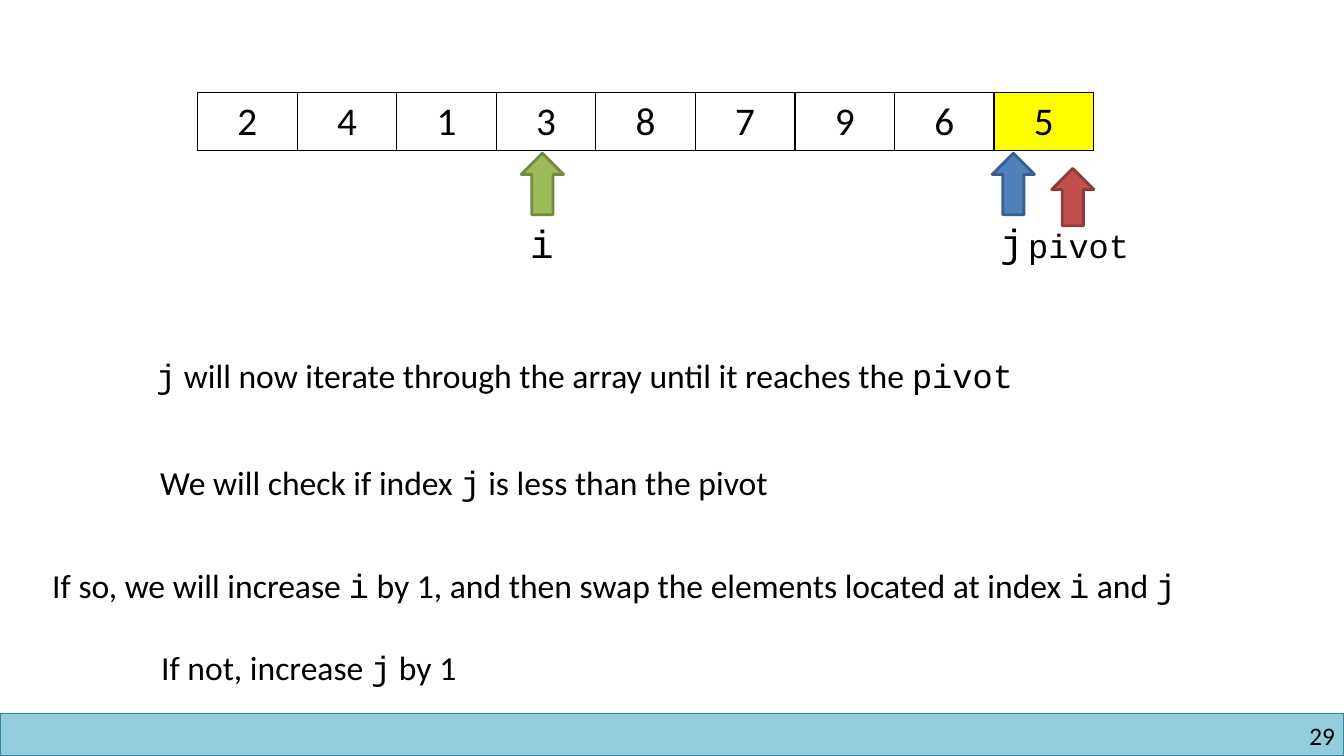
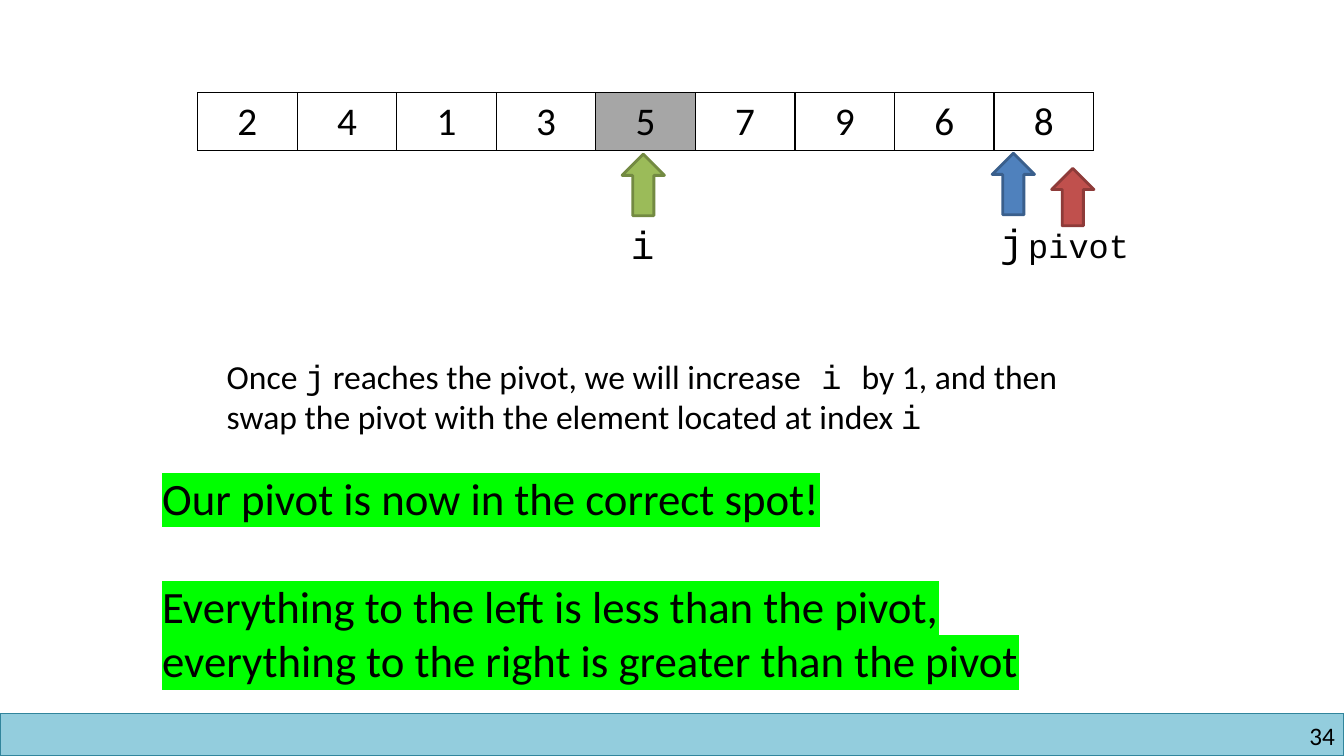
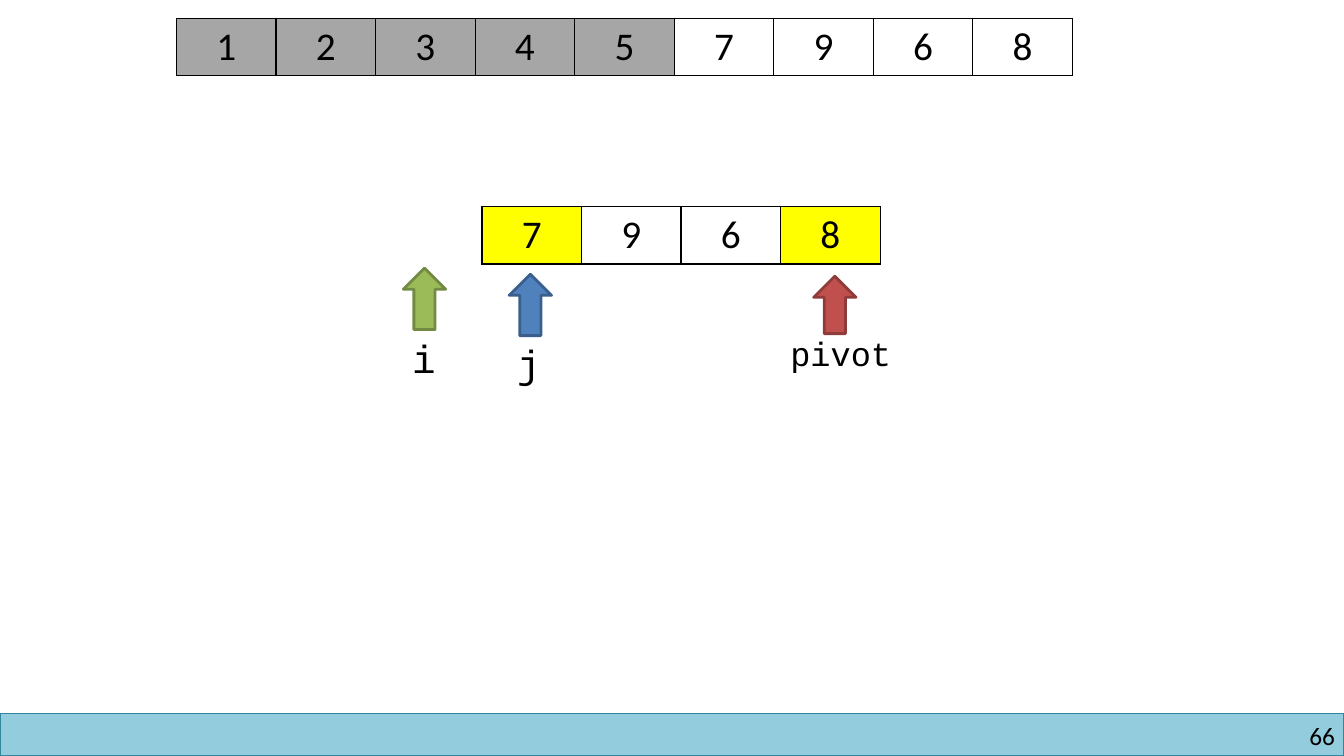
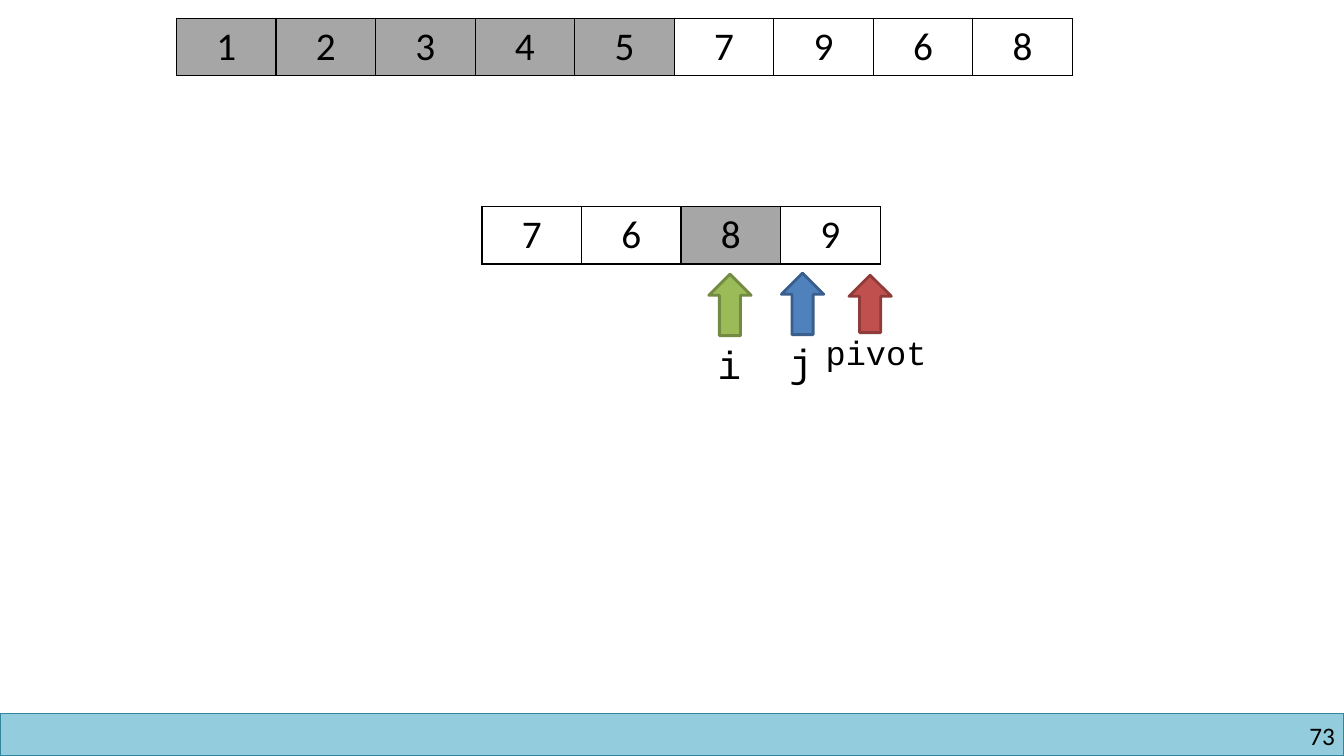
from lxml.etree import SubElement
from pptx import Presentation
from pptx.dml.color import RGBColor
from pptx.enum.shapes import MSO_SHAPE
from pptx.enum.text import PP_ALIGN
from pptx.oxml.ns import qn
from pptx.util import Inches, Pt

WIDTH, HEIGHT = 13.33, 7.5
BAND_HEIGHT = 0.42
CELL_WIDTH, CELL_HEIGHT = 8.89 / 9, 0.57
ARROW_WIDTH = 0.42
BLACK, WHITE, YELLOW, GRAY, GREEN = "000000", "FFFFFF", "FFFF00", "A6A6A6", "00FF00"

# name: fill, line, arrow height, label shift from the arrow (x, y), label width, label size
POINTERS = {
    "pivot": ("C0504D", "8E3B39", 0.57, -0.33, 0.51, 1.3, 24),
    "j": ("4F81BD", "3A5F8C", 0.61, -0.02, 0.6, 0.44, 28),
    "i": ("9BBB59", "738A42", 0.61, -0.01, 0.61, 0.44, 28),
}

# Arrays: left, top, values, {index: fill}
sorted_left = (1.75, 0.18, "123457968", dict.fromkeys(range(5), GRAY))
# Texts: left, top, width, height, size, highlight, paragraphs (code between backticks)
SLIDES = [
    {
        "number": 29,
        "arrays": [(1.96, 0.92, "241387965", {8: YELLOW})],
        "pointers": {"pivot": (10.43, 1.67), "j": (9.84, 1.52), "i": (5.17, 1.52)},
        "texts": [
            (1.45, 3.47, 9.29, 0.5, 24, None,
             ["`j` will now iterate through the array until it reaches the `pivot`"]),
            (1.49, 4.53, 6.84, 0.5, 24, None,
             ["We will check if index `j` is less than the pivot"]),
            (0.42, 5.56, 12.5, 0.5, 24, None,
             ["If so, we will increase `i` by 1, and then swap the elements "
              "located at index `i` and `j`"]),
            (1.5, 6.37, 3.43, 0.5, 24, None, ["If not, increase `j` by 1"]),
        ],
    },
    {
        "number": 34,
        "arrays": [(1.96, 0.92, "241357968", {4: GRAY})],
        "pointers": {"pivot": (10.43, 1.67), "j": (9.84, 1.52), "i": (6.17, 1.53)},
        "texts": [
            (2.15, 3.48, 8.51, 0.91, 24, None,
             ["Once `j` reaches the pivot, we will increase` i `by 1, and then "
              "swap the pivot with the element located at index `i`"]),
            (1.51, 4.62, 9.49, 2.26, 32, GREEN,
             ["Our pivot is now in the correct spot!",
              "Everything to the left is less than the pivot, "
              "everything to the right is greater than the pivot"]),
        ],
    },
    {
        "number": 66,
        "arrays": [sorted_left, (4.78, 2.05, "7968", {0: YELLOW, 3: YELLOW})],
        "pointers": {"pivot": (8.07, 2.74), "j": (5.05, 2.72), "i": (4, 2.66)},
        "texts": [],
    },
    {
        "number": 73,
        "arrays": [sorted_left, (4.78, 2.05, "7689", {2: GRAY})],
        "pointers": {"pivot": (8.42, 2.73), "j": (7.75, 2.71), "i": (7.03, 2.72)},
        "texts": [],
    },
]


def add_text(page, left, top, width, height, size, highlight, paragraphs):
    """Add a text box; parts between backticks are set in the code font."""
    box = page.shapes.add_textbox(Inches(left), Inches(top), Inches(width), Inches(height))
    frame = box.text_frame
    frame.word_wrap = True
    for index, text in enumerate(paragraphs):
        para = frame.add_paragraph() if index else frame.paragraphs[0]
        if index:
            para.space_before = Pt(size * 1.22)
        para.font.size = Pt(size)
        para.font.color.rgb = RGBColor.from_string(BLACK)
        for part, words in enumerate(text.split("`")):
            if not words:
                continue
            span = para.add_run()
            span.text = words
            if highlight:
                mark = SubElement(span.font._element, qn("a:highlight"))
                SubElement(mark, qn("a:srgbClr"), val=highlight)
            span.font.name = "Courier New" if part % 2 else "Calibri"
    return frame


def add_filled_shape(page, kind, left, top, width, height, fill, line, line_width):
    shape = page.shapes.add_shape(kind, Inches(left), Inches(top), Inches(width), Inches(height))
    shape.shadow.inherit = False
    shape.fill.solid()
    shape.fill.fore_color.rgb = RGBColor.from_string(fill)
    shape.line.color.rgb = RGBColor.from_string(line)
    shape.line.width = Pt(line_width)


deck = Presentation()
deck.slide_width, deck.slide_height = Inches(WIDTH), Inches(HEIGHT)

for content in SLIDES:
    page = deck.slides.add_slide(deck.slide_layouts[6])

    add_filled_shape(page, MSO_SHAPE.RECTANGLE, 0, HEIGHT - BAND_HEIGHT, WIDTH, BAND_HEIGHT,
                     "93CDDD", "31859C", 1)
    number = add_text(page, 10.17, 7.15, 3.07, 0.3, 18, None, [str(content["number"])])
    number.margin_left = number.margin_right = number.margin_top = number.margin_bottom = 0
    number.paragraphs[0].alignment = PP_ALIGN.RIGHT

    for left, top, values, fills in content["arrays"]:
        table = page.shapes.add_table(
            1, len(values), Inches(left), Inches(top),
            Inches(CELL_WIDTH * len(values)), Inches(CELL_HEIGHT)).table
        table.first_row = table.horz_banding = False
        for index, value in enumerate(values):
            cell = table.cell(0, index)
            cell.text = value
            para = cell.text_frame.paragraphs[0]
            para.alignment = PP_ALIGN.CENTER
            para.font.size = Pt(28)
            para.font.name = "Calibri"
            para.font.color.rgb = RGBColor.from_string(BLACK)
            properties = cell._tc.get_or_add_tcPr()
            for side in ("a:lnL", "a:lnR", "a:lnT", "a:lnB"):
                border = SubElement(properties, qn(side), w=str(Pt(1)))
                SubElement(SubElement(border, qn("a:solidFill")), qn("a:srgbClr"), val=BLACK)
            cell.fill.solid()
            cell.fill.fore_color.rgb = RGBColor.from_string(fills.get(index, WHITE))

    for name, (left, top) in content["pointers"].items():
        fill, line, height, shift_x, shift_y, label_width, size = POINTERS[name]
        add_filled_shape(page, MSO_SHAPE.UP_ARROW, left, top, ARROW_WIDTH, height, fill, line, 2)
        add_text(page, left + shift_x, top + shift_y, label_width, 0.5, size, None, [f"`{name}`"])

    for text in content["texts"]:
        add_text(page, *text)

deck.save("out.pptx")
